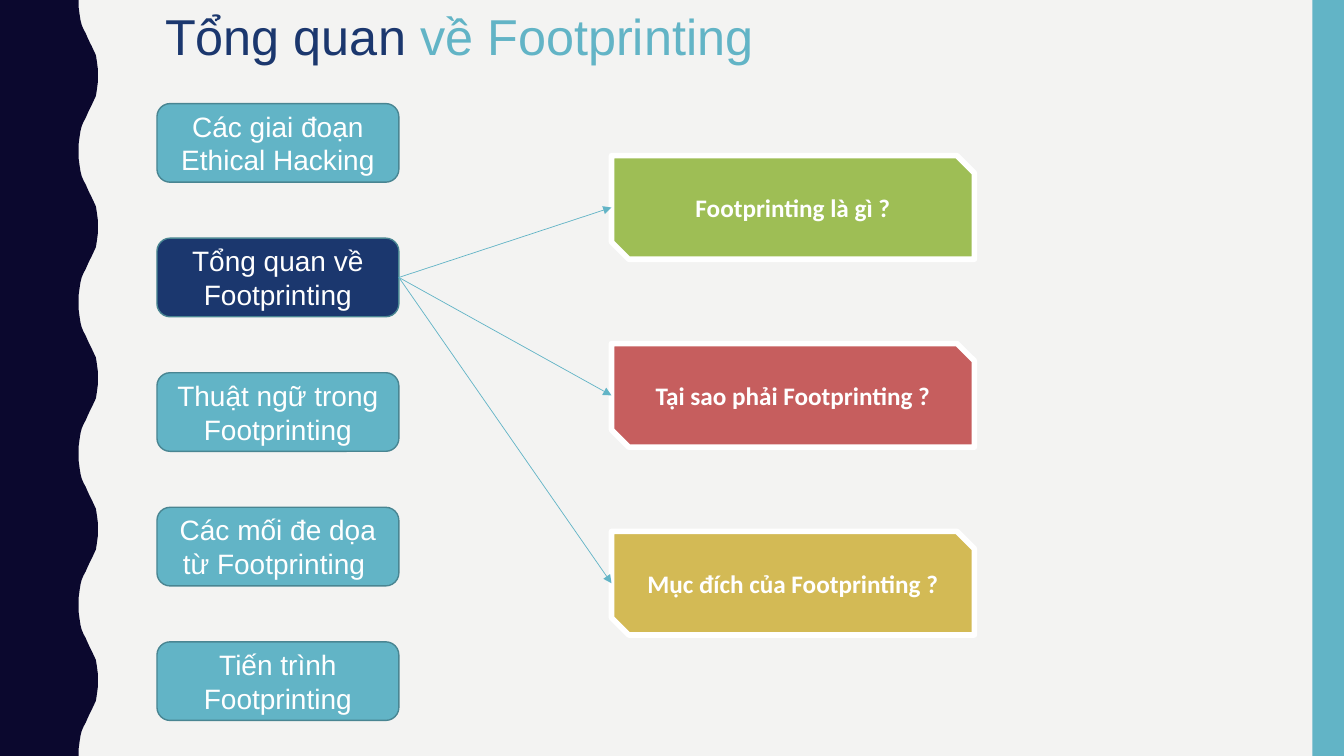
import pptx
import pptx.util
import pptx.dml.color
import pptx.enum.shapes
import pptx.enum.text
import pptx.oxml
import pptx.oxml.ns

WIDE = pptx.util.Inches(13.333)
HIGH = pptx.util.Inches(7.5)
KIND = pptx.enum.shapes.MSO_SHAPE
ANCHOR = pptx.enum.text.MSO_ANCHOR
CENTER = pptx.enum.text.PP_ALIGN.CENTER

NAVY, TEAL, WHITE = "1B376E", "62B4C6", "FFFFFF"
TOPICS = [
    "Các giai đoạn Ethical Hacking",
    "Tổng quan về Footprinting",
    "Thuật ngữ trong Footprinting",
    "Các mối đe dọa từ Footprinting ",
    "Tiến trình Footprinting",
]
ACTIVE = 1
CARDS = [
    ("Footprinting là gì ?", "9EBE55"),
    ("Tại sao phải Footprinting ?", "C65E5E"),
    ("Mục đích của Footprinting ?", "D3BA55"),
]
WAVES = 5
CURVE = [
    (0, 0), (0, 0.09), (0.05, 0.19), (0.1, 0.27), (0.16, 0.33),
    (0.26, 0.39), (0.37, 0.44), (0.47, 0.5), (0.58, 0.56), (0.68, 0.61),
    (0.79, 0.67), (0.9, 0.73), (0.95, 0.81), (1, 0.91), (1, 1),
]


def across(share):
    return round(WIDE * share / 100)


def down(share):
    return round(HIGH * share / 100)


def paint(part, color):
    if hasattr(part, "solid"):
        part.solid()
        part = part.fore_color
    elif hasattr(part, "color"):
        part = part.color
    part.rgb = pptx.dml.color.RGBColor.from_string(color)


def style(run, face, size, color, bold=False):
    run.font.name = face
    run.font.size = pptx.util.Pt(size)
    run.font.bold = bold
    paint(run.font, color)


def box(slide, kind, place, fill, edge=None, weight=1):
    left, top, width, height = place
    shape = slide.shapes.add_shape(
        kind, across(left), down(top), across(width), down(height))
    shape.shadow.inherit = False
    paint(shape.fill, fill)
    if edge:
        paint(shape.line, edge)
        shape.line.width = pptx.util.Pt(weight)
    else:
        shape.line.fill.background()
    return shape


def label(shape, text, face, size, bold=False):
    frame = shape.text_frame
    frame.text = text
    frame.word_wrap = True
    frame.vertical_anchor = ANCHOR.MIDDLE
    frame.paragraphs[0].alignment = CENTER
    style(frame.paragraphs[0].runs[0], face, size, WHITE, bold)


def wave(slide):
    inner, swing = 5.85, 1.43
    half = 50 / WAVES
    points = []
    for turn in range(WAVES):
        base = turn * 2 * half
        points += [(inner + swing * x, base + half * y) for x, y in CURVE]
        points += [(inner + swing * x, base + half * (2 - y))
                   for x, y in reversed(CURVE)]
    points.append((0, 100))
    path = slide.shapes.build_freeform(0, 0)
    path.add_line_segments([(across(x), down(y)) for x, y in points])
    shape = path.convert_to_shape()
    shape.shadow.inherit = False
    paint(shape.fill, "0B082E")
    shape.line.fill.background()


def head(slide):
    title = slide.shapes.title
    title.left, title.top = across(7.58), 0
    title.width, title.height = across(53.2), down(9.47)
    frame = title.text_frame
    frame.auto_size = pptx.enum.text.MSO_AUTO_SIZE.NONE
    frame.vertical_anchor = ANCHOR.TOP
    line = frame.paragraphs[0]
    line.alignment = CENTER
    for text, color in [("Tổng quan ", NAVY), ("về Footprinting", TEAL)]:
        run = line.add_run()
        run.text = text
        style(run, "Arial", 36, color)


def arrow(slide, start, end):
    link = slide.shapes.add_connector(
        pptx.enum.shapes.MSO_CONNECTOR.STRAIGHT, 0, 0, 0, 0)
    link.begin_connect(start, 3)
    # The snipped card numbers its left side 2.
    link.end_connect(end, 2)
    link.end_x = end.left
    link.end_y = end.top + end.height // 2
    paint(link.line, TEAL)
    link.line.width = pptx.util.Pt(0.5)
    space = pptx.oxml.ns.nsdecls("a")
    link.line._get_or_add_ln().append(
        pptx.oxml.parse_xml(f'<a:tailEnd {space} type="triangle"/>'))
    link._element.spPr.append(pptx.oxml.parse_xml(f"<a:effectLst {space}/>"))


def main():
    deck = pptx.Presentation()
    deck.slide_width, deck.slide_height = WIDE, HIGH
    slide = deck.slides.add_slide(deck.slide_layouts[5])
    paint(slide.background.fill, "F3F3F2")
    wave(slide)
    box(slide, KIND.RECTANGLE, (97.66, 0, 2.34, 100), TEAL)
    head(slide)

    topics = []
    for row, text in enumerate(TOPICS):
        fill = NAVY if row == ACTIVE else TEAL
        place = (11.68, 13.7 + 17.8 * row, 18, 10.4)
        shape = box(slide, KIND.ROUNDED_RECTANGLE, place, fill, "498592")
        label(shape, text, "Arial", 20)
        topics.append(shape)

    cards = []
    for row, (text, fill) in enumerate(CARDS):
        place = (45.5, 20.6 + 24.85 * row, 27, 13.7)
        shape = box(slide, KIND.SNIP_2_DIAG_RECTANGLE, place, fill, WHITE, 4)
        label(shape, text, "Calibri", 18, True)
        cards.append(shape)

    for card in cards:
        arrow(slide, topics[ACTIVE], card)
    deck.save("out.pptx")


if __name__ == "__main__":
    main()
